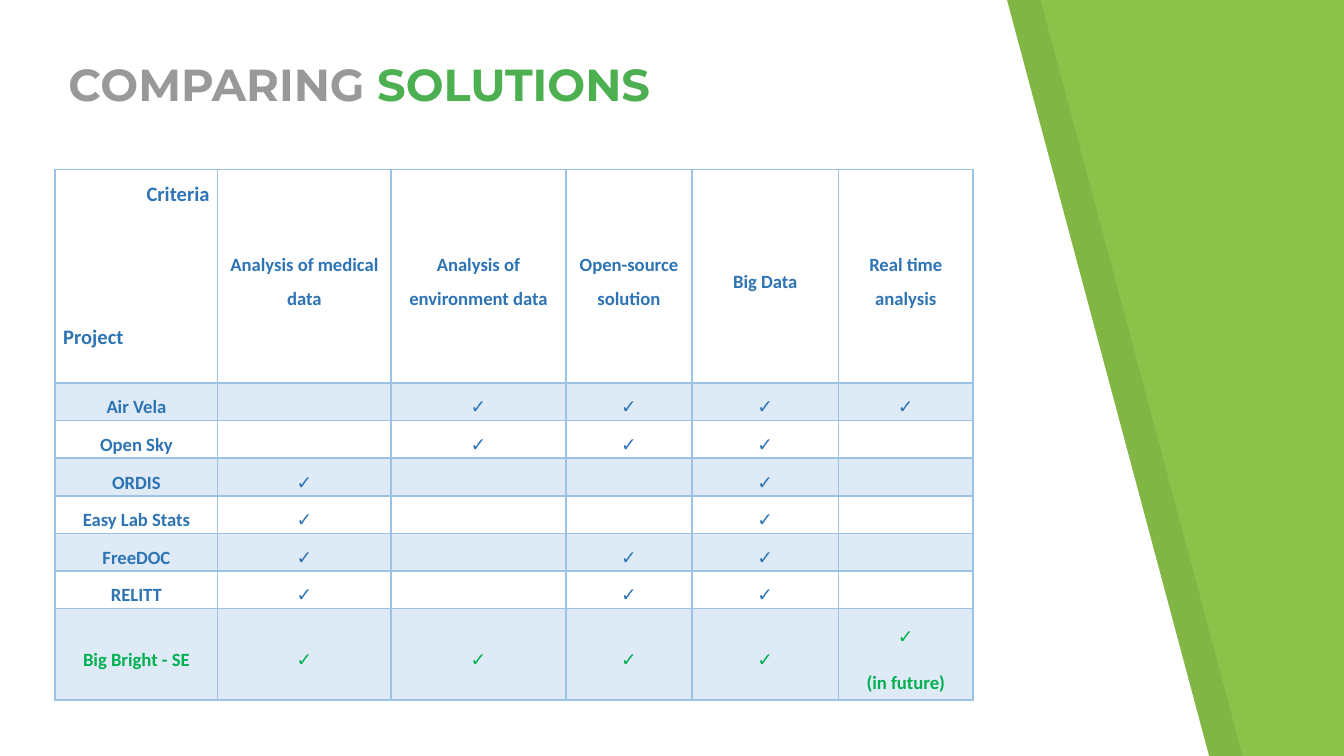
import pptx
import pptx.util
import pptx.dml.color
import pptx.enum.text
import pptx.oxml.ns
import lxml.etree
from dataclasses import dataclass

Inches = pptx.util.Inches
Pt = pptx.util.Pt
Align = pptx.enum.text.PP_ALIGN
Anchor = pptx.enum.text.MSO_ANCHOR
qn = pptx.oxml.ns.qn


@dataclass(frozen=True)
class Theme:
    lime: str = "8BC34A"
    white: str = "FFFFFF"
    black: str = "000000"
    gray: str = "999999"
    green: str = "4CAF50"
    blue: str = "2E74B5"
    mark: str = "00B050"
    band: str = "DEEAF6"
    edge: str = "9CC2E5"
    head: str = "Montserrat"
    body: str = "Calibri"
    title: int = 24
    label: int = 11
    cell: int = 10
    thin: float = 1
    thick: float = 1.5


def color(code):
    return pptx.dml.color.RGBColor.from_string(code)


class Deck:
    def __init__(self, theme, wide, high):
        self.theme = theme
        self.file = pptx.Presentation()
        self.file.slide_width = Inches(wide)
        self.file.slide_height = Inches(high)
        self.slide = self.file.slides.add_slide(self.file.slide_layouts[6])
        fill = self.slide.background.fill
        fill.solid()
        fill.fore_color.rgb = color(theme.lime)

    def panel(self, points, tint, alpha=None):
        draw = self.slide.shapes.build_freeform(
            Inches(points[0][0]), Inches(points[0][1]))
        draw.add_line_segments([(Inches(x), Inches(y)) for x, y in points[1:]])
        shape = draw.convert_to_shape()
        shape.shadow.inherit = False
        shape.line.fill.background()
        shape.fill.solid()
        shape.fill.fore_color.rgb = color(tint)
        if alpha is not None:
            tone = shape.fill._xPr.find(qn("a:solidFill"))[0]
            lxml.etree.SubElement(tone, qn("a:alpha"), val=str(alpha * 1000))

    def title(self, box, parts):
        frame = self.slide.shapes.add_textbox(*map(Inches, box)).text_frame
        frame.word_wrap = True
        frame.vertical_anchor = Anchor.BOTTOM
        frame.margin_left = frame.margin_right = Inches(0.1)
        frame.margin_top = frame.margin_bottom = Inches(0.1)
        para = frame.paragraphs[0]
        para.font.size = Pt(self.theme.title)
        para.font.name = self.theme.head
        para.font.bold = True
        for text, tint in parts:
            run = para.add_run()
            run.text = text
            run.font.color.rgb = color(tint)

    def table(self, left, top, cols, rows):
        grid = self.slide.shapes.add_table(
            len(rows), len(cols), Inches(left), Inches(top),
            Inches(sum(cols)), Inches(sum(rows))).table
        grid.first_row = grid.horz_banding = False
        for col, size in zip(grid.columns, cols):
            col.width = Inches(size)
        for row, size in zip(grid.rows, rows):
            row.height = Inches(size)
        return grid

    def edges(self, cell, top, low):
        props = cell._tc.get_or_add_tcPr()
        thin = self.theme.thin
        for side, width in (("L", thin), ("R", thin), ("T", top), ("B", low)):
            line = lxml.etree.SubElement(
                props, qn("a:ln" + side), w=str(Pt(width)))
            fill = lxml.etree.SubElement(line, qn("a:solidFill"))
            lxml.etree.SubElement(fill, qn("a:srgbClr"), val=self.theme.edge)

    def cell(self, cell, text, tint, fill=None):
        cell.margin_left = cell.margin_right = Inches(0.06)
        cell.margin_top = cell.margin_bottom = 0
        cell.vertical_anchor = Anchor.MIDDLE
        if fill:
            cell.fill.solid()
            cell.fill.fore_color.rgb = color(fill)
        else:
            cell.fill.background()
        cell.text = text
        for para in cell.text_frame.paragraphs:
            para.alignment = Align.CENTER
            para.line_spacing = 1.5
            para.space_after = Pt(6)
            para.font.size = Pt(self.theme.cell)
            para.font.name = self.theme.body
            para.font.bold = True
            para.font.color.rgb = color(tint)

    def corner(self, cell):
        cell.vertical_anchor = Anchor.TOP
        first, last = cell.text_frame.paragraphs
        first.alignment = Align.RIGHT
        last.alignment = Align.JUSTIFY
        last.space_before = Pt(50.4)
        for para in (first, last):
            para.font.size = Pt(self.theme.label)


def main():
    theme = Theme()
    wide = 10
    deck = Deck(theme, wide, wide * 9 / 16)
    top, low = -0.01, 5.64
    deck.panel([(0.25, top), (0.25, low), (9.25, low), (7.74, top)],
               theme.black, 7)
    deck.panel([(0, top), (0, low), (9, low), (7.49, top)], theme.white)

    yes = "✓"
    data = [
        ["Criteria\nProject", "Analysis of medical data",
         "Analysis of environment data", "Open-source solution",
         "Big Data", "Real time analysis"],
        ["Air Vela", "", yes, yes, yes, yes],
        ["Open Sky", "", yes, yes, yes, ""],
        ["ORDIS", yes, "", "", yes, ""],
        ["Easy Lab Stats", yes, "", "", yes, ""],
        ["FreeDOC", yes, "", yes, yes, ""],
        ["RELITT", yes, "", yes, yes, ""],
        ["Big Bright - SE", yes, yes, yes, yes, yes + "\n(in future)"],
    ]
    grid = deck.table(0.41, 1.26, [1.21, 1.29, 1.3, 0.94, 1.09, 1],
                      [1.59] + [0.28] * 6 + [0.68])
    final = len(data) - 1
    for r, row in enumerate(data):
        tint = theme.mark if r == final else theme.blue
        fill = theme.band if r % 2 else None
        for c, text in enumerate(row):
            cell = grid.cell(r, c)
            deck.edges(cell, theme.thick if r == 1 else theme.thin,
                       theme.thick if r == 0 else theme.thin)
            deck.cell(cell, text, tint, fill)
    deck.corner(grid.cell(0, 0))

    deck.title((0.41, 0.47, 5.25, 0.45),
               [("COMPARING ", theme.gray), ("SOLUTIONS", theme.green)])
    deck.file.save("out.pptx")


if __name__ == "__main__":
    main()
